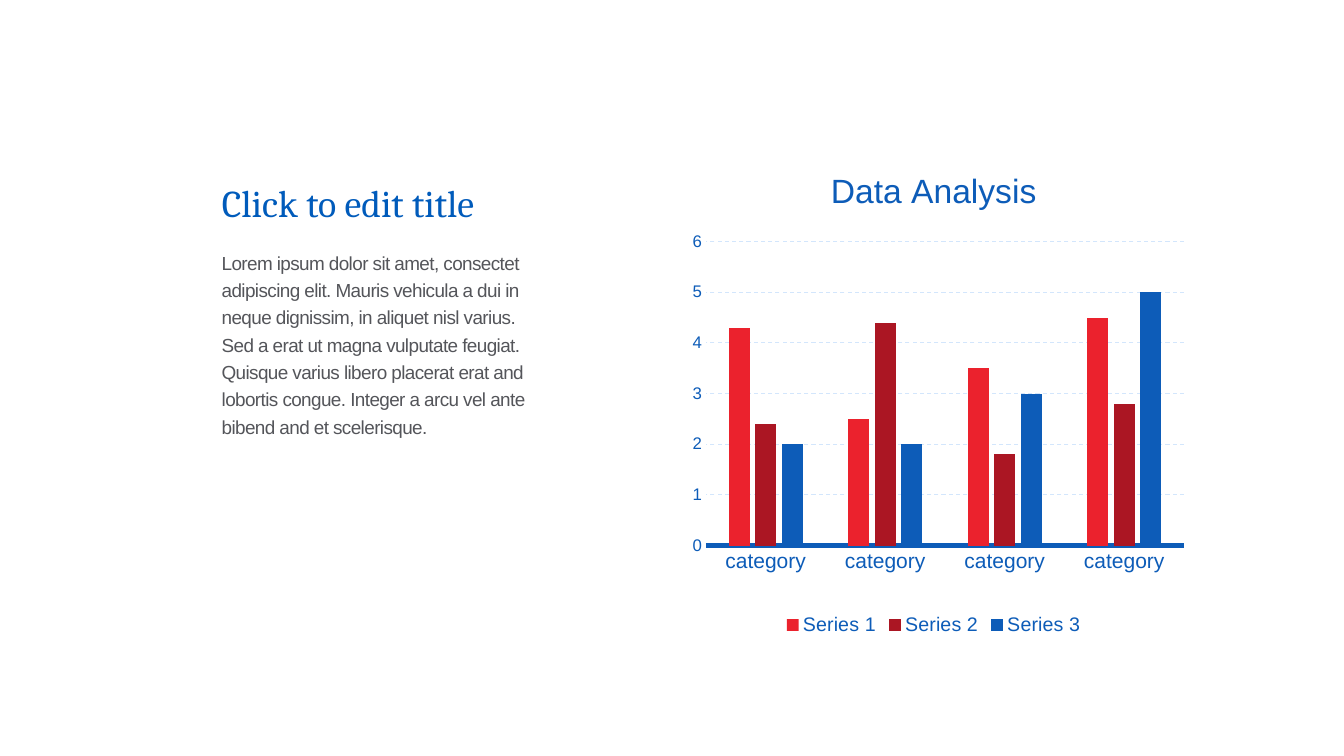
import pptx
import pptx.chart.data
import pptx.dml.color
import pptx.enum.chart
import pptx.enum.dml
import pptx.enum.text
import pptx.oxml
import pptx.oxml.ns
import pptx.util
from pptx.util import Inches, Pt

BLUE = "0D5CB8"
CATEGORIES = ["category"] * 4
SERIES = [
    ("Series 1", (4.3, 2.5, 3.5, 4.5), "EB222D"),
    ("Series 2", (2.4, 4.4, 1.8, 2.8), "AB1623"),
    ("Series 3", (2, 2, 3, 5), BLUE),
]
PLOT_AREA = {"x": 0.069, "y": 0.19, "w": 0.905, "h": 0.618}
BODY = (
    "Lorem ipsum dolor sit amet, consectet adipiscing elit. Mauris vehicula a dui in "
    "neque dignissim, in aliquet nisl varius. Sed a erat ut magna vulputate feugiat. "
    "Quisque varius libero placerat erat and lobortis congue. Integer a arcu vel ante "
    "bibend and et scelerisque."
)


def rgb(value):
    return pptx.dml.color.RGBColor.from_string(value)


def set_font(font, size, color=BLUE, name="Arial"):
    font.size = Pt(size)
    font.name = name
    font.bold = False
    font.color.rgb = rgb(color)


def fill_text(sp, text, size, color, name, spacing, anchor):
    tf = sp.text_frame
    tf.word_wrap = True
    tf.auto_size = pptx.enum.text.MSO_AUTO_SIZE.NONE
    tf.vertical_anchor = anchor
    p = tf.paragraphs[0]
    p.alignment = pptx.enum.text.PP_ALIGN.LEFT
    p.line_spacing = spacing
    r = p.add_run()
    r.text = text
    set_font(p.font, size, color, name)
    return r


def add_title(s):
    sp = s.shapes.title
    sp.left, sp.top = Inches(2.1), Inches(1.5)
    sp.width, sp.height = Inches(3.5), Inches(0.78)
    fill_text(sp, "Click to edit title", 27, "005BBB", "Cambria", 0.8,
              pptx.enum.text.MSO_ANCHOR.BOTTOM)


def add_body(s):
    sp = s.shapes.add_textbox(Inches(2.1), Inches(2.4), Inches(3.28), Inches(3.03))
    r = fill_text(sp, BODY, 13.5, "54555A", "Arial", Pt(19.5),
                  pptx.enum.text.MSO_ANCHOR.TOP)
    r._r.get_or_add_rPr().set("spc", "-40")


def place_plot_area(chart):
    """Fix the inner plot area as fractions of the chart frame."""
    plot_area = chart._chartSpace.chart.plotArea
    for old in plot_area.findall(pptx.oxml.ns.qn("c:layout")):
        plot_area.remove(old)
    modes = '<c:xMode val="edge"/><c:yMode val="edge"/>'
    sizes = "".join(f'<c:{k} val="{v}"/>' for k, v in PLOT_AREA.items())
    plot_area.insert(0, pptx.oxml.parse_xml(
        f'<c:layout {pptx.oxml.ns.nsdecls("c")}><c:manualLayout>'
        f'<c:layoutTarget val="inner"/>{modes}{sizes}</c:manualLayout></c:layout>'))


def format_axes(chart):
    no_tick = pptx.enum.chart.XL_TICK_MARK.NONE
    for axis, size in ((chart.category_axis, 15), (chart.value_axis, 12)):
        axis.major_tick_mark = axis.minor_tick_mark = no_tick
        set_font(axis.tick_labels.font, size)
    line = chart.category_axis.format.line
    line.color.rgb = rgb(BLUE)
    line.width = Pt(3.25)

    values = chart.value_axis
    values.minimum_scale, values.maximum_scale, values.major_unit = 0, 6, 1
    values.format.line.fill.background()
    grid = values.major_gridlines.format.line
    grid.color.rgb = rgb("D3E6FC")
    grid.width = Pt(0.75)
    grid.dash_style = pptx.enum.dml.MSO_LINE.DASH


def add_column_chart(s):
    data = pptx.chart.data.CategoryChartData()
    data.categories = CATEGORIES
    for name, values, _ in SERIES:
        data.add_series(name, values)
    chart = s.shapes.add_chart(
        pptx.enum.chart.XL_CHART_TYPE.COLUMN_CLUSTERED,
        Inches(6.64), Inches(1.47), Inches(5.24), Inches(4.88), data).chart
    set_font(chart.font, 10)

    p = chart.chart_title.text_frame.paragraphs[0]
    r = p.add_run()
    r.text = "Data Analysis"
    set_font(p.font, 24)
    chart.chart_title.include_in_layout = False

    chart.has_legend = True
    chart.legend.position = pptx.enum.chart.XL_LEGEND_POSITION.BOTTOM
    chart.legend.include_in_layout = False
    set_font(chart.legend.font, 14)

    plot = chart.plots[0]
    plot.gap_width, plot.overlap = 219, -27
    plot.vary_by_categories = False
    for series, (_, _, color) in zip(plot.series, SERIES):
        series.format.fill.solid()
        series.format.fill.fore_color.rgb = rgb(color)
    format_axes(chart)
    place_plot_area(chart)


def main():
    prs = pptx.Presentation()
    prs.slide_width, prs.slide_height = Inches(13.33), Inches(7.5)
    s = prs.slides.add_slide(prs.slide_layouts[5])
    add_column_chart(s)
    add_title(s)
    add_body(s)
    prs.save("out.pptx")


if __name__ == "__main__":
    main()
